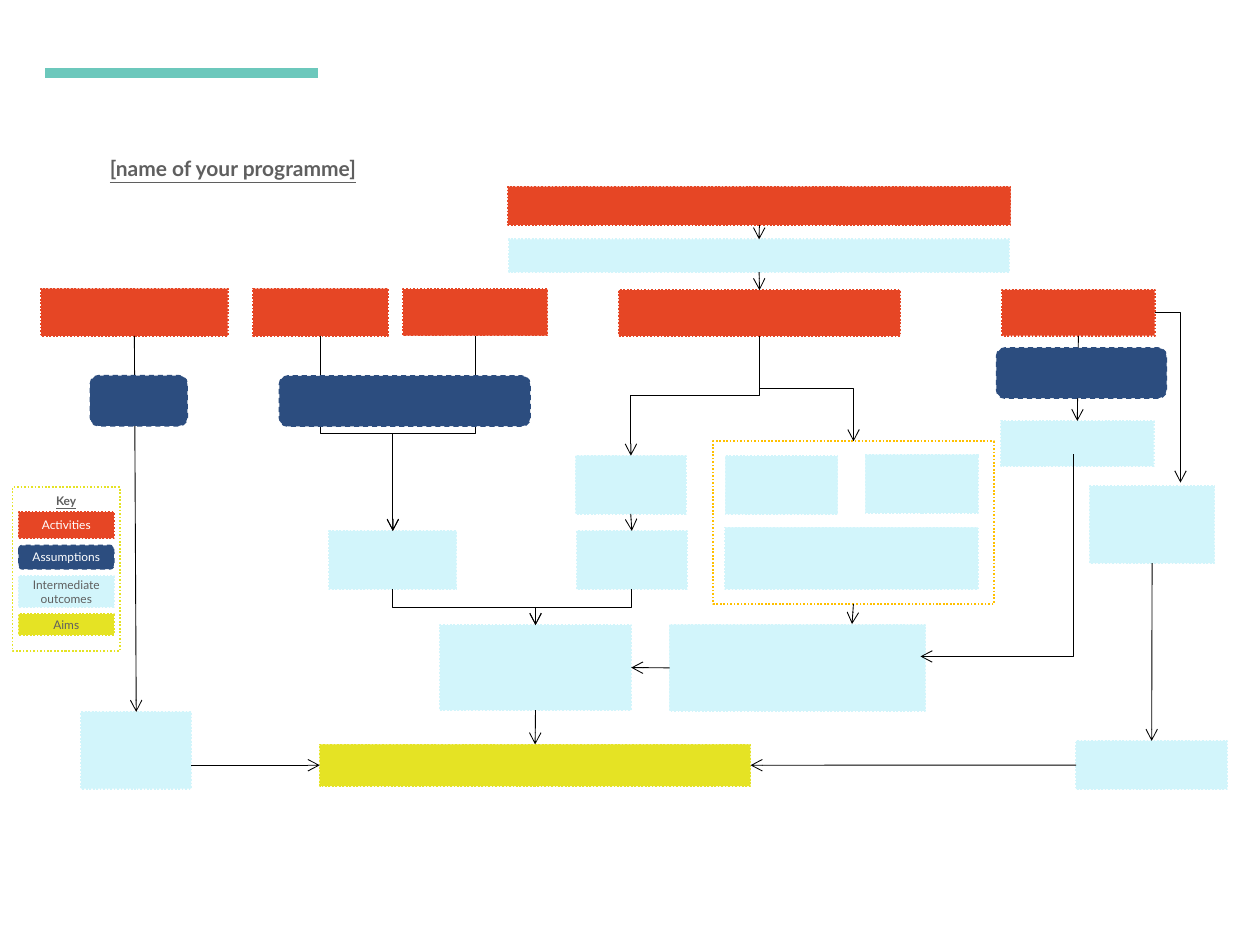
from lxml.etree import SubElement
from pptx import Presentation
from pptx.dml.color import RGBColor
from pptx.enum.dml import MSO_LINE
from pptx.enum.shapes import MSO_CONNECTOR, MSO_SHAPE
from pptx.enum.text import MSO_ANCHOR, PP_ALIGN
from pptx.oxml.ns import qn
from pptx.util import Pt

FONT = "Lato"
WHITE = RGBColor(0xFF, 0xFF, 0xFF)
BLACK = RGBColor(0x00, 0x00, 0x00)
GREY = RGBColor(0x5F, 0x5F, 0x5F)
TEAL = RGBColor(0x6C, 0xC8, 0xBC)
RED = RGBColor(0xE6, 0x46, 0x25)
NAVY = RGBColor(0x2C, 0x4D, 0x7F)
PALE = RGBColor(0xD2, 0xF5, 0xFB)
LIME = RGBColor(0xE5, 0xE3, 0x24)
AMBER = RGBColor(0xFF, 0xC0, 0x00)

TOP, LEFT, BOTTOM, RIGHT = range(4)

STYLES = {
    "activity": (RED, RED),
    "assumption": (NAVY, NAVY),
    "outcome": (PALE, PALE),
    "aim": (LIME, LIME),
    "group": (None, AMBER),
    "key": (None, LIME),
    "title": (WHITE, WHITE),
}

BOXES = {
    "lead activity": ("activity", 290.2, 106.6, 287.3, 21.9),
    "lead outcome": ("outcome", 290.9, 136.8, 285.8, 18.7),
    "activity 1": ("activity", 23.5, 164.9, 106.6, 27),
    "activity 2": ("activity", 144.7, 164.9, 77, 27),
    "activity 3": ("activity", 230.4, 165.2, 82.4, 26.6),
    "activity 4": ("activity", 353.6, 165.8, 160.8, 26.2),
    "activity 5": ("activity", 572.7, 165.6, 87.1, 26.3),
    "outcome 1": ("outcome", 46.4, 406.8, 62.9, 43.9),
    "outcome 2": ("outcome", 188.1, 303.4, 72.7, 33.3),
    "outcome 3": ("outcome", 251.3, 357.2, 109.4, 48.6),
    "outcome 4a": ("outcome", 329, 260.4, 62.9, 33.3),
    "outcome 4b": ("outcome", 329.6, 303.4, 62.9, 33.3),
    "group": ("group", 407.5, 252.2, 160.4, 92.9),
    "group left": ("outcome", 414.5, 260.6, 64.1, 33.2),
    "group right": ("outcome", 494.6, 259.8, 64.4, 33.4),
    "group base": ("outcome", 414.4, 301.4, 144.4, 35.3),
    "group result": ("outcome", 382.6, 357, 146.2, 49.3),
    "outcome 5a": ("outcome", 571.9, 240.6, 87.4, 25.8),
    "outcome 5b": ("outcome", 622.7, 277.8, 71.3, 44),
    "outcome 5c": ("outcome", 614.9, 423.4, 86.4, 27.6),
    "aim": ("aim", 182.7, 425.4, 246.2, 23.8),
}

ASSUMPTIONS = [
    (51.6, 214.6, 55.5, 28.8),
    (159.6, 214.8, 143.4, 28.8),
    (569.4, 198.8, 97.2, 28.8),
]

KEY = [
    ("activity", "Activities", WHITE, 292.6, 15),
    ("assumption", "Assumptions", WHITE, 311.6, 13.6),
    ("outcome", "Intermediate outcomes", GREY, 329.2, 17.8),
    ("aim", "Aims", GREY, 351, 11.8),
]

JOINS = [
    ("lead activity", BOTTOM, "lead outcome", TOP),
    ("lead outcome", BOTTOM, "activity 4", TOP),
    ("activity 1", BOTTOM, "outcome 1", TOP),
    ("activity 5", BOTTOM, "outcome 5a", TOP),
    ("outcome 4a", BOTTOM, "outcome 4b", TOP),
    ("group result", LEFT, "outcome 3", RIGHT),
    ("outcome 3", BOTTOM, "aim", TOP),
    ("outcome 5b", BOTTOM, "outcome 5c", TOP),
    ("outcome 5c", LEFT, "aim", RIGHT),
]

DROPS = [
    ("bentConnector3", 182.9, 191.9, 224.5, 303.4),
    ("bentConnector3", 271.6, 191.9, 224.5, 303.4),
    ("bentConnector3", 224.5, 336.7, 306, 357.2),
    ("bentConnector3", 361, 336.7, 306, 357.2),
    ("bentConnector3", 434, 192, 360.5, 260.4),
    ("bentConnector3", 434, 192, 487.8, 252.2),
    ("bentConnector2", 613.5, 259.7, 526, 375.1),
]


def add_box(shapes, style, x, y, w, h, text="", color=GREY, size=6.8):
    rounded = style == "assumption"
    kind = MSO_SHAPE.ROUNDED_RECTANGLE if rounded else MSO_SHAPE.RECTANGLE
    sp = shapes.add_shape(kind, Pt(x), Pt(y), Pt(w), Pt(h))
    sp.shadow.inherit = False
    fill, line = STYLES[style]
    if fill is None:
        sp.fill.background()
    else:
        sp.fill.solid()
        sp.fill.fore_color.rgb = fill
    sp.line.color.rgb = line
    sp.line.width = Pt(0.75 if rounded else 1)
    sp.line.dash_style = MSO_LINE.DASH if rounded else MSO_LINE.ROUND_DOT
    if text:
        tf = sp.text_frame
        tf.word_wrap = True
        tf.vertical_anchor = MSO_ANCHOR.TOP if style == "key" else MSO_ANCHOR.MIDDLE
        p = tf.paragraphs[0]
        p.text = text
        p.alignment = PP_ALIGN.CENTER
        p.font.name = FONT
        p.font.size = Pt(size)
        p.font.color.rgb = color
        if style in ("key", "title"):
            p.font.bold = True
            p.font.underline = True
    return sp


def add_line(shapes, x1, y1, x2, y2, kind=MSO_CONNECTOR.STRAIGHT,
             color=BLACK, width=0.5, arrow=True):
    c = shapes.add_connector(kind, Pt(x1), Pt(y1), Pt(x2), Pt(y2))
    c.line.color.rgb = color
    c.line.width = Pt(width)
    if arrow:
        SubElement(c.line._get_or_add_ln(), qn("a:tailEnd"), type="arrow")
    SubElement(c.element.spPr, qn("a:effectLst"))
    return c


def set_bend(c, bend):
    c.element.spPr.find(qn("a:prstGeom")).set("prst", bend)


def add_drop(shapes, bend, x1, y1, x2, y2):
    cx, cy = (x1 + x2) / 2, (y1 + y2) / 2
    half_w, half_h = (y2 - y1) / 2, abs(x2 - x1) / 2
    side = 1 if x2 > x1 else -1
    c = add_line(shapes, cx + side * half_w, cy - half_h,
                 cx - side * half_w, cy + half_h, MSO_CONNECTOR.ELBOW)
    angle = 270 if side > 0 else 90
    c.element.spPr.find(qn("a:xfrm")).set("rot", str(angle * 60000))
    set_bend(c, bend)


def main():
    prs = Presentation()
    prs.slide_width, prs.slide_height = Pt(720), Pt(540)
    s = prs.slides.add_slide(prs.slide_layouts[6])
    shapes = s.shapes

    add_line(shapes, 25.9, 41.8, 181.6, 41.8, color=TEAL, width=6, arrow=False)
    add_box(shapes, "title", 1.4, 85, 263.5, 22.3, "[name of your programme]", size=12)

    add_box(shapes, "key", 7.2, 278.4, 61.2, 93.8, "Key")
    for style, label, color, y, h in KEY:
        add_box(shapes, style, 10.7, y, 54.4, h, label, color)

    boxes = {name: add_box(shapes, *box) for name, box in BOXES.items()}

    for start, start_side, end, end_side in JOINS:
        c = add_line(shapes, 0, 0, 0, 0)
        c.begin_connect(boxes[start], start_side)
        c.end_connect(boxes[end], end_side)

    c = add_line(shapes, 109.3, 437.3, 182.7, 437.3)
    c.end_connect(boxes["aim"], LEFT)
    c = add_line(shapes, 487.7, 345.1, 486.9, 356.6)
    c.begin_connect(boxes["group"], BOTTOM)

    c = add_line(shapes, 659.8, 178.7, 674.6, 275.8, MSO_CONNECTOR.ELBOW)
    set_bend(c, "bentConnector2")
    for drop in DROPS:
        add_drop(shapes, *drop)

    for place in ASSUMPTIONS:
        add_box(shapes, "assumption", *place)

    prs.save("out.pptx")


if __name__ == "__main__":
    main()
